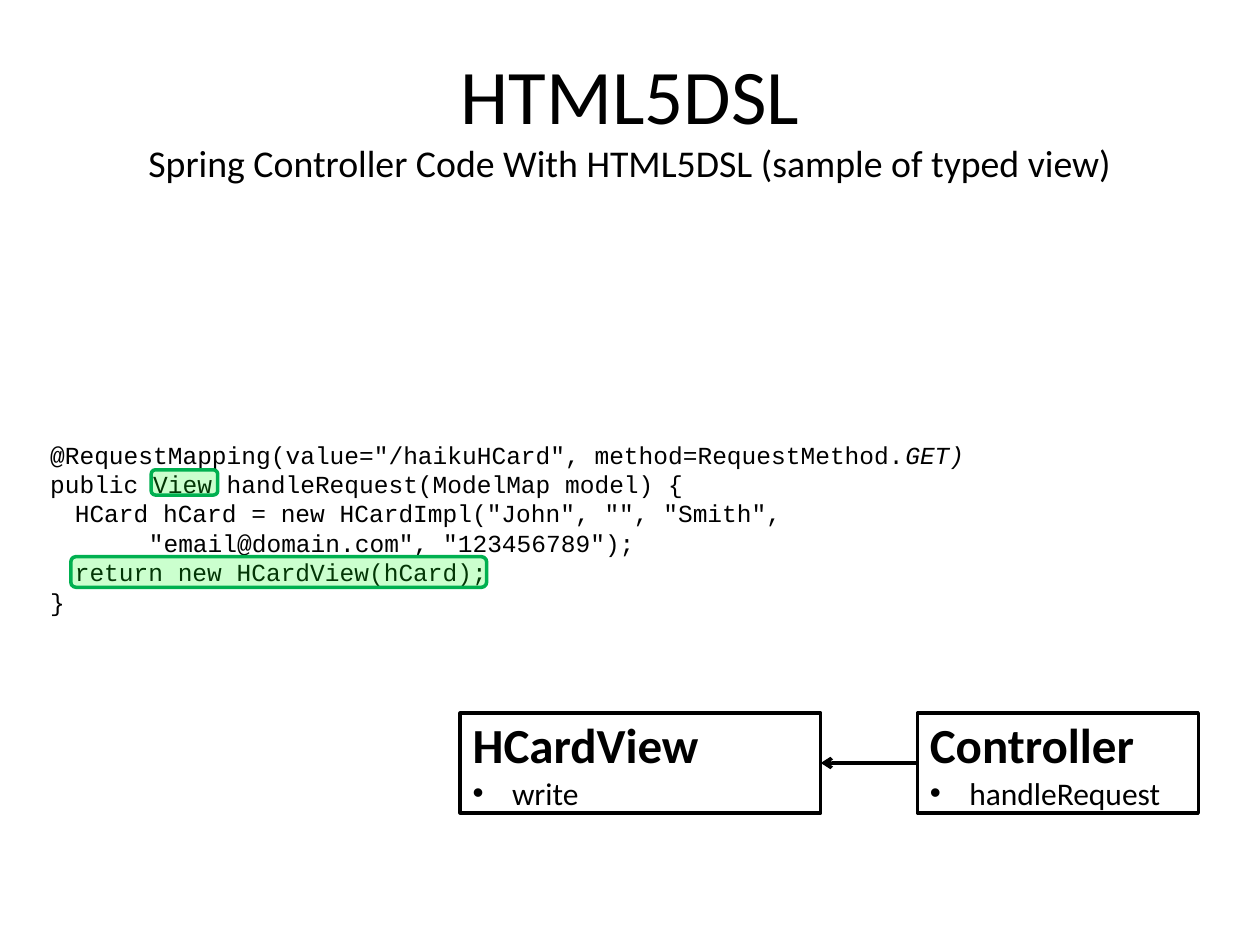
import pptx
import pptx.util
import pptx.oxml
import pptx.oxml.ns
import pptx.dml.color
import pptx.enum.shapes
import pptx.enum.text
import lxml.etree

Pt = pptx.util.Pt
qn = pptx.oxml.ns.qn
SHAPE = pptx.enum.shapes.MSO_SHAPE
ANCHOR = pptx.enum.text.MSO_ANCHOR
ALIGN = pptx.enum.text.PP_ALIGN
COLORS = {"ink": "000000", "glow": "0DFF19", "edge": "00B050"}


def add(parent, tag, **attrs):
    """Append a child element in the drawing namespace."""
    return lxml.etree.SubElement(parent, qn(tag), attrs)


class Deck:
    sans = "Calibri"
    mono = "Courier New"
    weight = 2
    stop = 14.1  # tab step in code
    hang = 22.5  # bullet indent

    def __init__(self, wide, high):
        self.prs = pptx.Presentation()
        self.prs.slide_width, self.prs.slide_height = Pt(wide), Pt(high)
        self.slide = self.prs.slides.add_slide(self.prs.slide_layouts[6])
        self.shapes = self.slide.shapes

    def color(self, name):
        return pptx.dml.color.RGBColor.from_string(COLORS[name])

    def style(self, run, size, face=None, bold=False, slant=False):
        font = run.font
        font.name, font.size = face or self.sans, Pt(size)
        font.bold, font.italic = bold, slant
        font.color.rgb = self.color("ink")

    def text(self, x, y, w, h, anchor=ANCHOR.TOP):
        frame = self.shapes.add_textbox(Pt(x), Pt(y), Pt(w), Pt(h)).text_frame
        frame.word_wrap = True
        frame.vertical_anchor = anchor
        return frame

    def title(self, x, y, w, h, head, sub):
        para = self.text(x, y, w, h, ANCHOR.MIDDLE).paragraphs[0]
        para.text = head + "\v" + sub
        para.alignment = ALIGN.CENTER
        for run, size in zip(para.runs, (44.1, 21.6)):
            self.style(run, size)

    def code(self, x, y, w, h, lines, tail):
        """Set code lines; tail is the slanted end of the first line."""
        frame = self.text(x, y, w, h)
        frame.text = "\n".join(lines)
        for para in frame.paragraphs:
            tabs = add(para._p.get_or_add_pPr(), "a:tabLst")
            for n in range(1, 5):
                add(tabs, "a:tab", pos=str(Pt(n * self.stop)), algn="l")
            for run in para.runs:
                self.style(run, 14, self.mono)
        end = frame.paragraphs[0].add_run()
        end.text = tail
        self.style(end, 14, self.mono, slant=True)

    def shape(self, kind, x, y, w, h, edge):
        shape = self.shapes.add_shape(kind, Pt(x), Pt(y), Pt(w), Pt(h))
        shape.shadow.inherit = False
        shape.line.color.rgb = self.color(edge)
        shape.line.width = Pt(self.weight)
        return shape

    def node(self, x, y, w, h, name, method):
        """Draw a class box with its name and one method."""
        box = self.shape(SHAPE.RECTANGLE, x, y, w, h, "ink")
        box.fill.background()
        frame = box.text_frame
        frame.word_wrap = True
        frame.vertical_anchor = ANCHOR.MIDDLE
        frame.text = name + "\n" + method
        head, item = frame.paragraphs
        props = item._p.get_or_add_pPr()
        props.set("marL", str(Pt(self.hang)))
        props.set("indent", str(-Pt(self.hang)))
        add(props, "a:buFont", typeface="Arial")
        add(props, "a:buChar", char="•")
        for para, size in ((head, 28), (item, 18)):
            para.alignment = ALIGN.LEFT
            self.style(para.runs[0], size, bold=para is head)
        return box

    def arrow(self, start, end):
        """Point from the left side of start to the right side of end."""
        mid = start.top + start.height // 2
        line = self.shapes.add_connector(
            pptx.enum.shapes.MSO_CONNECTOR.STRAIGHT,
            start.left, mid, end.left + end.width, mid)
        line.line.color.rgb = self.color("ink")
        line.line.width = Pt(self.weight)
        add(line.line._get_or_add_ln(), "a:tailEnd", type="arrow")
        add(line._element.spPr, "a:effectLst")

    def mark(self, x, y, w, h):
        """Lay a clear green highlight over code."""
        shape = self.shape(SHAPE.ROUNDED_RECTANGLE, x, y, w, h, "edge")
        shape.fill.solid()
        shape.fill.fore_color.rgb = self.color("glow")
        tint = shape._element.spPr.find(qn("a:solidFill"))[0]
        add(tint, "a:alpha", val="21000")


def main():
    deck = Deck(720, 540)

    # Title
    deck.title(36, 21.6, 648, 90, "HTML5DSL",
               "Spring Controller Code With HTML5DSL (sample of typed view)")

    # Class diagram
    view = deck.node(263, 407.5, 206, 57, "HCardView", "write")
    control = deck.node(524.3, 407.5, 160.5, 57, "Controller", "handleRequest")
    deck.arrow(control, view)

    # Controller code
    deck.code(21.6, 247.7, 544.3, 108.7, [
        '@RequestMapping(value="/haikuHCard", method=RequestMethod.',
        "public View handleRequest(ModelMap model) {",
        '\tHCard hCard = new HCardImpl("John", "", "Smith",',
        '\t\t\t\t"email@domain.com", "123456789");',
        "\treturn new HCardView(hCard);",
        "}",
    ], "GET)")

    # Highlights on the view type and the return line
    deck.mark(86.4, 268.5, 38, 14.4)
    deck.mark(40.5, 318.1, 237.6, 17.5)

    deck.prs.save("out.pptx")


if __name__ == "__main__":
    main()
